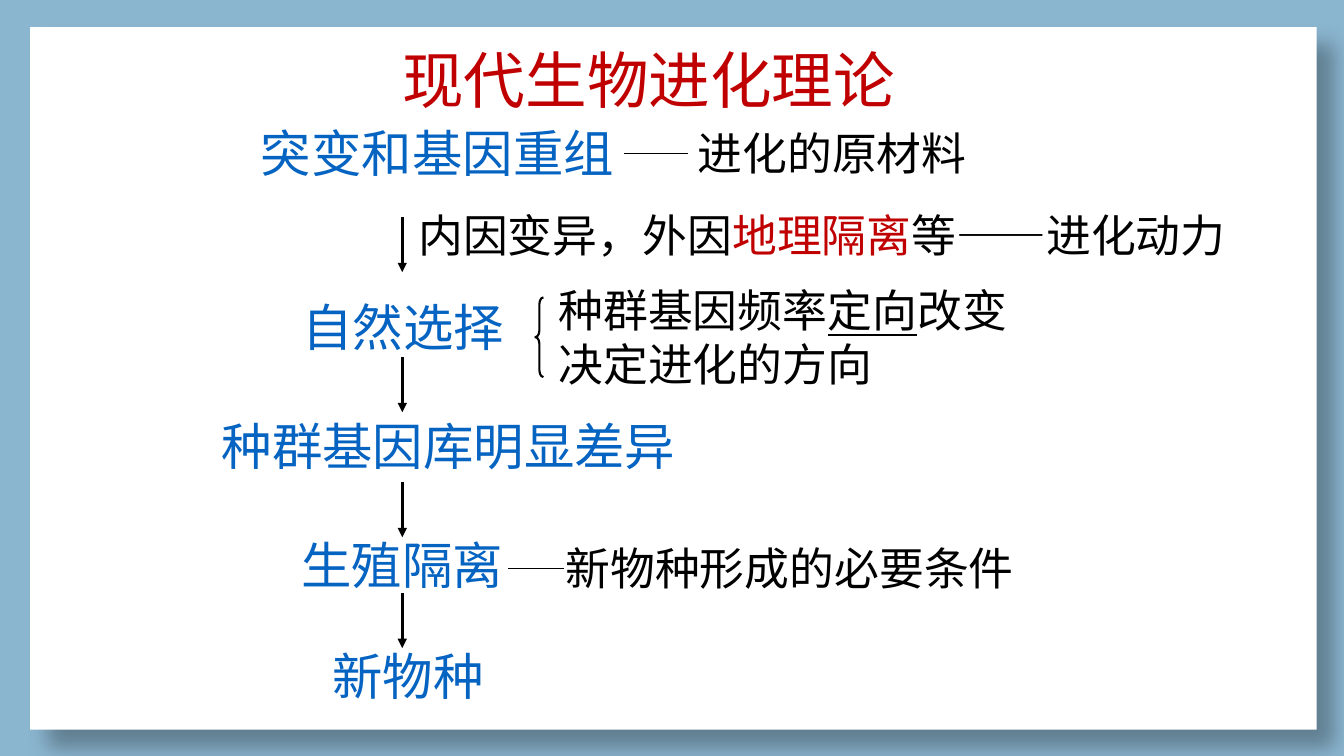
from dataclasses import dataclass
from typing import Optional

import pptx
import pptx.dml.color
import pptx.enum.shapes
import pptx.enum.text
import pptx.oxml
import pptx.oxml.ns
import pptx.util

PX = 9144
KIND = pptx.enum.shapes.MSO_SHAPE
TEXT = pptx.enum.text


@dataclass(frozen=True)
class Theme:
    font: str = "Times New Roman"
    frame: str = "8BB6D0"
    panel: str = "FFFFFF"
    ink: str = "000000"
    blue: str = "0563C1"
    red: str = "C00000"
    title: int = 44
    step: int = 36
    note: int = 32
    thin: float = 0.75
    brace: float = 1.5
    thick: float = 2.25


THEME = Theme()


@dataclass(frozen=True)
class Box:
    left: int
    top: int
    width: int
    height: int


@dataclass(frozen=True)
class Part:
    text: str
    color: str = THEME.ink
    under: bool = False


@dataclass(frozen=True)
class Label:
    box: Box
    size: int
    lines: tuple[tuple[Part, ...], ...]


@dataclass(frozen=True)
class Link:
    start: tuple[int, int]
    end: tuple[int, int]
    width: float
    arrow: bool = False
    goal: Optional[str] = None


def step(text: str, box: Box) -> Label:
    return Label(box, THEME.step, ((Part(text, THEME.blue),),))


def note(box: Box, *lines: tuple[Part, ...]) -> Label:
    return Label(box, THEME.note, lines)


TITLE = Label(Box(389, 37, 609, 83), THEME.title,
              ((Part("现代生物进化理论", THEME.red),),))
LABELS = {
    "source": step("突变和基因重组", Box(249, 116, 374, 71)),
    "matter": note(Box(682, 120, 289, 64), (Part("进化的原材料"),)),
    "cause": note(Box(405, 201, 828, 64), (
        Part("内因变异，外因"),
        Part("地理隔离", THEME.red),
        Part("等——进化动力"),
    )),
    "choice": step("自然选择", Box(290, 289, 220, 70)),
    "effect": note(
        Box(544, 276, 469, 118),
        (Part("种群基因频率"), Part("定向", under=True), Part("改变")),
        (Part("决定进化的方向"),),
    ),
    "pool": step("种群基因库明显差异", Box(210, 407, 475, 71)),
    "barrier": step("生殖隔离", Box(289, 525, 222, 71)),
    "need": note(Box(551, 532, 469, 64), (Part("新物种形成的必要条件"),)),
    "species": step("新物种", Box(320, 635, 170, 70)),
}
AXIS = 399
REACH = 55
LINKS = [
    Link((619, 152), (682, 152), THEME.thin, goal="matter"),
    Link((504, 564), (559, 564), THEME.thin),
] + [
    Link((AXIS, top), (AXIS, top + REACH), THEME.thick, arrow=True)
    for top in (215, 354, 478, 588)
]


def paint(color: str) -> pptx.dml.color.RGBColor:
    return pptx.dml.color.RGBColor.from_string(color)


def place(box: Box) -> tuple[int, int, int, int]:
    return box.left * PX, box.top * PX, box.width * PX, box.height * PX


def write(shape, label: Label, wrap: bool = False) -> None:
    shape.left, shape.top, shape.width, shape.height = place(label.box)
    frame = shape.text_frame
    frame.word_wrap = wrap
    frame.auto_size = TEXT.MSO_AUTO_SIZE.SHAPE_TO_FIT_TEXT
    frame.vertical_anchor = TEXT.MSO_ANCHOR.TOP
    frame.text = "\n".join(
        "".join(part.text for part in line) for line in label.lines)
    for para, line in zip(frame.paragraphs, label.lines):
        para.alignment = TEXT.PP_ALIGN.LEFT
        para.runs[0].text = line[0].text
        for part in line[1:]:
            para.add_run().text = part.text
        for run, part in zip(para.runs, line):
            run.font.name = THEME.font
            run.font.size = pptx.util.Pt(label.size)
            run.font.color.rgb = paint(part.color)
            run.font.underline = part.under


def join(slide, link: Link, shapes: dict) -> None:
    ends = [spot * PX for spot in link.start + link.end]
    line = slide.shapes.add_connector(
        pptx.enum.shapes.MSO_CONNECTOR.STRAIGHT, *ends)
    if link.goal:
        line.end_connect(shapes[link.goal], 1)
    line.line.color.rgb = paint(THEME.ink)
    line.line.width = pptx.util.Pt(link.width)
    props = line._element.spPr
    if link.arrow:
        tail = pptx.oxml.parse_xml(
            f'<a:tailEnd {pptx.oxml.ns.nsdecls("a")} type="triangle"/>')
        props.find(pptx.oxml.ns.qn("a:ln")).append(tail)
    props.append(pptx.oxml.parse_xml(
        f'<a:effectLst {pptx.oxml.ns.nsdecls("a")}/>'))


def back(slide) -> None:
    slide.background.fill.solid()
    slide.background.fill.fore_color.rgb = paint(THEME.frame)
    panel = slide.shapes.add_shape(
        KIND.RECTANGLE, *place(Box(30, 27, 1276, 697)))
    panel.fill.solid()
    panel.fill.fore_color.rgb = paint(THEME.panel)
    panel.line.fill.background()
    panel._element.spPr.append(pptx.oxml.parse_xml(
        f'<a:effectLst {pptx.oxml.ns.nsdecls("a")}>'
        f'<a:outerShdw blurRad="{pptx.util.Pt(15)}" '
        f'dist="{pptx.util.Pt(18)}" dir="2700000" algn="tl" '
        f'rotWithShape="0"><a:srgbClr val="{THEME.ink}">'
        '<a:alpha val="30000"/></a:srgbClr></a:outerShdw></a:effectLst>'))
    slide.shapes._spTree.insert(2, panel._element)


def brace(slide) -> None:
    shape = slide.shapes.add_shape(
        KIND.LEFT_BRACE, *place(Box(531, 295, 8, 79)))
    shape.adjustments[0] = 0.82
    shape.shadow.inherit = False
    shape.fill.background()
    shape.line.color.rgb = paint(THEME.ink)
    shape.line.width = pptx.util.Pt(THEME.brace)


def main() -> None:
    deck = pptx.Presentation()
    deck.slide_width, deck.slide_height = 1333 * PX, 750 * PX
    slide = deck.slides.add_slide(deck.slide_layouts[5])
    back(slide)
    write(slide.shapes.title, TITLE, wrap=True)
    shapes = {}
    for name, label in LABELS.items():
        shapes[name] = slide.shapes.add_textbox(*place(label.box))
        write(shapes[name], label)
    for link in LINKS:
        join(slide, link, shapes)
    brace(slide)
    deck.save("out.pptx")


if __name__ == "__main__":
    main()
